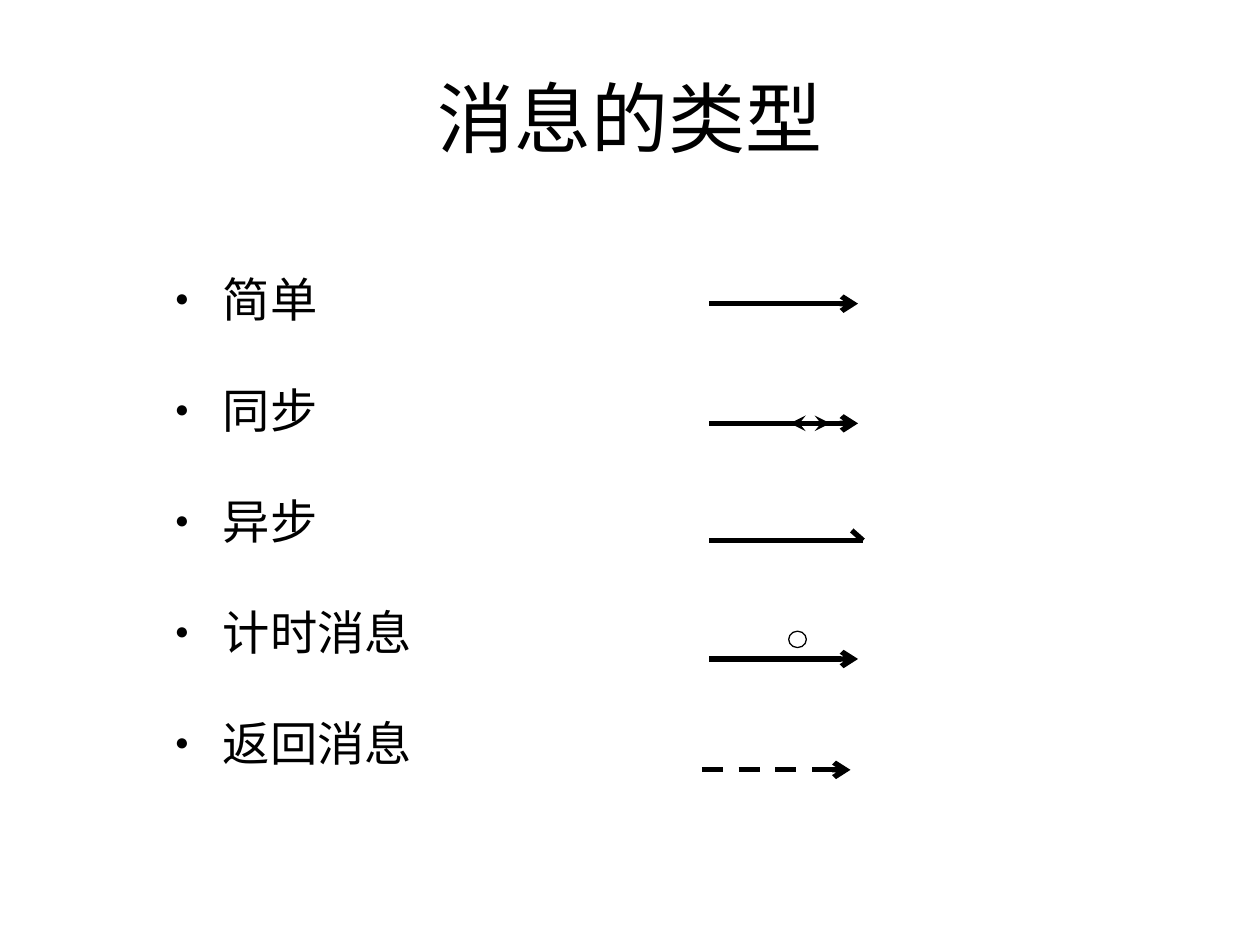
from dataclasses import dataclass

import pptx
import pptx.dml.color
import pptx.enum.dml
import pptx.enum.shapes
import pptx.enum.text
import pptx.oxml.ns
import pptx.util
from lxml import etree

Inches = pptx.util.Inches
Pt = pptx.util.Pt
qn = pptx.oxml.ns.qn
Align = pptx.enum.text.PP_ALIGN


@dataclass(frozen=True)
class Theme:
    font: str = "Arial"
    ink: pptx.dml.color.RGBColor = pptx.dml.color.RGBColor(0, 0, 0)
    paper: pptx.dml.color.RGBColor = pptx.dml.color.RGBColor(255, 255, 255)
    title_size: float = 44
    item_size: float = 27
    item_gap: float = 37.6
    arrow_width: float = 3
    clock_width: float = 0.75


@dataclass(frozen=True)
class Arrow:
    start: tuple[float, float]
    end: tuple[float, float]
    head: str = ""
    tail: str = ""
    dashed: bool = False


THEME = Theme()
MESSAGE_TYPES = ["简单", "同步", "异步", "计时消息", "返回消息"]
LEFT, RIGHT = 5.63, 6.81


def message_arrow(y: float, shift: float = 0, dashed: bool = False) -> Arrow:
    return Arrow((LEFT + shift, y), (RIGHT + shift, y), tail="arrow", dashed=dashed)


ARROWS = [
    message_arrow(2.41),  # simple
    message_arrow(3.36),  # synchronous
    Arrow((6.27, 3.36), (6.59, 3.36), head="stealth", tail="stealth"),
    Arrow((LEFT, 4.29), (6.85, 4.29)),  # asynchronous, with half a head
    Arrow((6.85, 4.29), (6.76, 4.21)),
    message_arrow(5.23),  # timed
    message_arrow(6.11, shift=-0.06, dashed=True),  # return
]


def add_frame(slide, left: float, top: float, width: float, height: float):
    frame = slide.shapes.add_textbox(
        Inches(left), Inches(top), Inches(width), Inches(height)).text_frame
    frame.word_wrap = True
    return frame


def add_run(paragraph, text: str, size: float) -> None:
    run = paragraph.add_run()
    run.text = text
    run.font.name = THEME.font
    run.font.size = Pt(size)
    run.font.color.rgb = THEME.ink


def add_title(slide, text: str) -> None:
    frame = add_frame(slide, 0.5, 0.3, 9, 1.25)
    frame.vertical_anchor = pptx.enum.text.MSO_ANCHOR.MIDDLE
    frame.paragraphs[0].alignment = Align.CENTER
    add_run(frame.paragraphs[0], text, THEME.title_size)


def add_bullets(slide, items: list[str]) -> None:
    frame = add_frame(slide, 1.29, 2.18, 2.92, 4.53)
    for index, item in enumerate(items):
        paragraph = frame.add_paragraph() if index else frame.paragraphs[0]
        paragraph.alignment = Align.JUSTIFY
        paragraph.line_spacing = 0.8
        paragraph.space_before = Pt(THEME.item_gap if index else 0)
        properties = paragraph._p.get_or_add_pPr()
        properties.set("marL", str(Inches(0.38)))
        properties.set("indent", str(Inches(-0.38)))
        etree.SubElement(properties, qn("a:buSzPct"), val="50000")
        etree.SubElement(properties, qn("a:buFont"), typeface=THEME.font)
        etree.SubElement(properties, qn("a:buChar"), char="●")
        add_run(paragraph, item, THEME.item_size)


def add_arrow(slide, arrow: Arrow) -> None:
    connector = slide.shapes.add_connector(
        pptx.enum.shapes.MSO_CONNECTOR.STRAIGHT,
        *map(Inches, arrow.start + arrow.end))
    connector.line.color.rgb = THEME.ink
    connector.line.width = Pt(THEME.arrow_width)
    if arrow.dashed:
        connector.line.dash_style = pptx.enum.dml.MSO_LINE.DASH
    line = connector.line._get_or_add_ln()
    for tag, kind in (("a:headEnd", arrow.head), ("a:tailEnd", arrow.tail)):
        if kind:
            etree.SubElement(line, qn(tag), type=kind)
    etree.SubElement(connector._element.spPr, qn("a:effectLst"))


def add_clock(slide) -> None:
    clock = slide.shapes.add_shape(
        pptx.enum.shapes.MSO_SHAPE.OVAL,
        Inches(6.26), Inches(5.01), Inches(0.14), Inches(0.13))
    clock.shadow.inherit = False
    clock.fill.background()
    clock.line.color.rgb = THEME.ink
    clock.line.width = Pt(THEME.clock_width)


def main() -> None:
    deck = pptx.Presentation()
    deck.slide_width, deck.slide_height = Inches(10), Inches(7.5)
    slide = deck.slides.add_slide(deck.slide_layouts[6])
    slide.background.fill.solid()
    slide.background.fill.fore_color.rgb = THEME.paper

    # Title and list of message types
    add_title(slide, "消息的类型")
    add_bullets(slide, MESSAGE_TYPES)

    # Notation beside each type
    for arrow in ARROWS:
        add_arrow(slide, arrow)
    add_clock(slide)

    deck.save("out.pptx")


if __name__ == "__main__":
    main()
